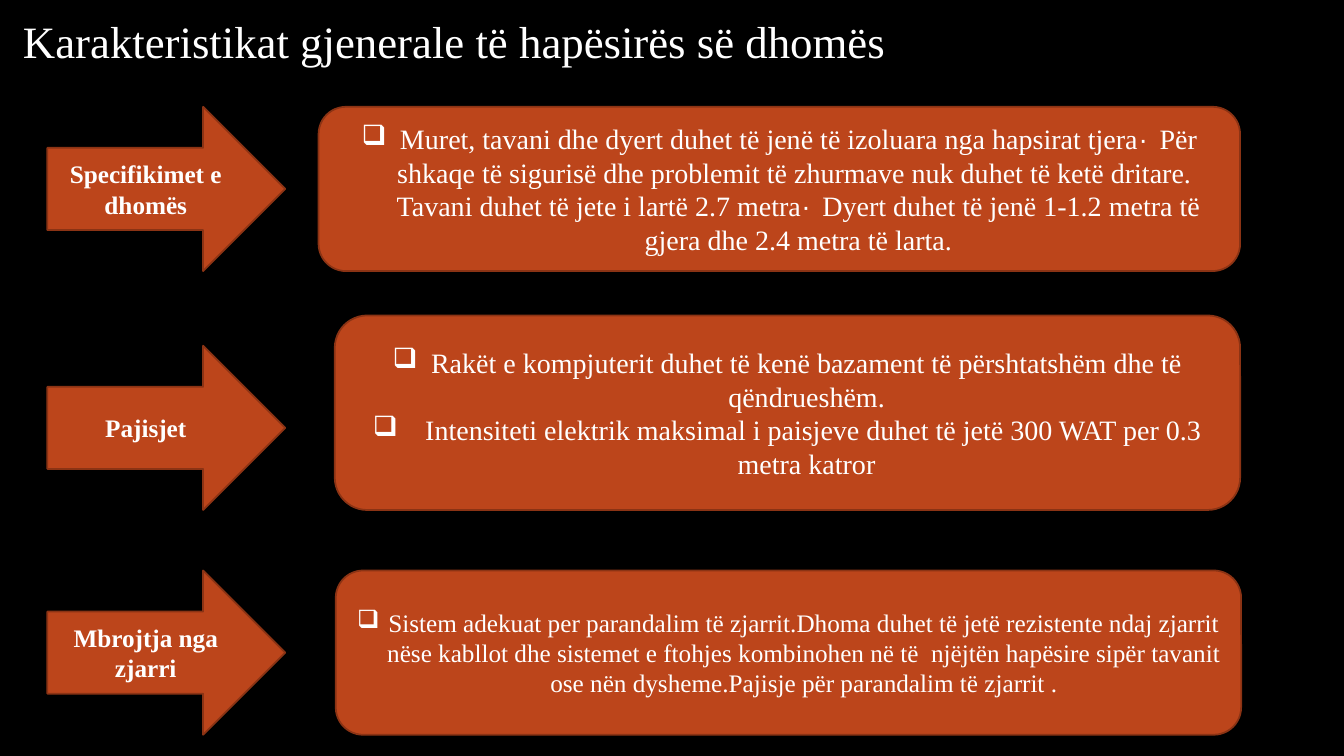
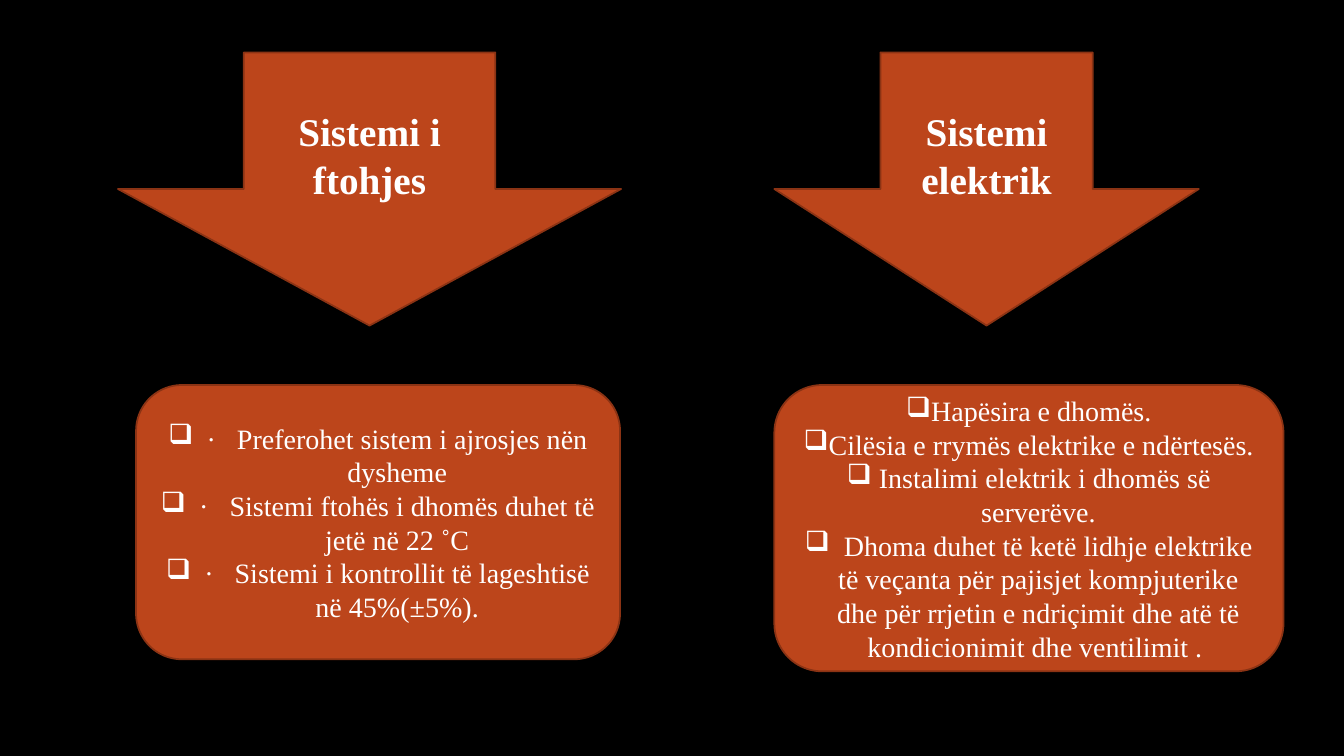
import pptx
import pptx.util
import pptx.dml.color
import pptx.enum.shapes
import pptx.enum.text
import lxml.etree

Inches = pptx.util.Inches
SHAPE = pptx.enum.shapes.MSO_SHAPE
ALIGN = pptx.enum.text.PP_ALIGN
COLORS = {"background": "000000", "fill": "BC451B", "line": "8B3314", "text": "FFFFFF"}
FONT = "Times New Roman"


def color(name):
    return pptx.dml.color.RGBColor.from_string(COLORS[name])


def write(box, paragraphs, size=20, bold=False, align=ALIGN.CENTER, indent=None):
    frame = box.text_frame
    frame.word_wrap = True
    for index, pieces in enumerate(paragraphs):
        para = frame.paragraphs[0] if index == 0 else frame.add_paragraph()
        para.alignment = align
        if indent:
            properties = para._p.get_or_add_pPr()
            properties.set("marL", str(Inches(indent)))
            properties.set("indent", str(-Inches(indent)))
            bullet = lxml.etree.SubElement(properties, pptx.oxml.ns.qn("a:buChar"))
            bullet.set("char", "❑")
        if isinstance(pieces, str):
            pieces = [(pieces, size, FONT)]
        for text, points, font in pieces:
            span = para.add_run()
            span.text = text
            span.font.size = pptx.util.Pt(points)
            span.font.name = font
            span.font.bold = bold
            span.font.color.rgb = color("text")


def add_panel(page, kind, bounds, paragraphs, **text_format):
    panel = page.shapes.add_shape(kind, *[Inches(length) for length in bounds])
    panel.shadow.inherit = False
    panel.fill.solid()
    panel.fill.fore_color.rgb = color("fill")
    panel.line.color.rgb = color("line")
    panel.line.width = pptx.util.Pt(1.25)
    panel.text_frame.vertical_anchor = pptx.enum.text.MSO_ANCHOR.MIDDLE
    write(panel, paragraphs, **text_format)


deck = pptx.Presentation()
deck.slide_width = Inches(13.33)
deck.slide_height = Inches(7.5)
background = deck.slide_master.background.fill
background.solid()
background.fore_color.rgb = color("background")
blank = deck.slide_layouts[6]

dot = ("·", 20, "Arial")
gap = ("   ", 11, FONT)
room_text = [
    ("Muret, tavani dhe dyert duhet të jenë të izoluara nga hapsirat tjera", 20, FONT),
    dot,
    gap,
    ("Për shkaqe të sigurisë dhe problemit të zhurmave nuk duhet të ketë dritare.", 20, FONT),
    gap,
    ("Tavani duhet të jete i lartë 2.7 metra", 20, FONT),
    dot,
    gap,
    ("Dyert duhet të jenë 1-1.2 metra të gjera dhe 2.4 metra të larta.", 20, FONT),
]
equipment_text = [
    "Rakët e kompjuterit duhet të kenë bazament të përshtatshëm dhe të qëndrueshëm.",
    "  Intensiteti elektrik maksimal i paisjeve duhet të jetë 300 WAT per 0.3 metra katror",
]
fire_text = (
    "Sistem adekuat per parandalim të zjarrit.Dhoma duhet të jetë rezistente ndaj zjarrit "
    "nëse kabllot dhe sistemet e ftohjes kombinohen në të  njëjtën hapësire sipër tavanit "
    "ose nën dysheme.Pajisje për parandalim të zjarrit ."
)

page = deck.slides.add_slide(blank)
title = page.shapes.add_textbox(Inches(0.13), Inches(0.09), Inches(9.86), Inches(0.64))
title.text_frame.auto_size = pptx.enum.text.MSO_AUTO_SIZE.SHAPE_TO_FIT_TEXT
write(title, ["Karakteristikat gjenerale të hapësirës së dhomës"], size=32, align=ALIGN.LEFT)

room_rows = [
    ("Specifikimet e dhomës", 1.06, (3.16, 1.06, 9.14, 1.63), [room_text], 20, 0.38),
    ("Pajisjet", 3.43, (3.32, 3.13, 8.98, 1.93), equipment_text, 20, 0.38),
    ("Mbrojtja nga zjarri", 5.66, (3.33, 5.66, 8.98, 1.63), [fire_text], 18, 0.31),
]
for label, top, bounds, paragraphs, size, indent in room_rows:
    add_panel(page, SHAPE.RIGHT_ARROW, (0.47, top, 2.36, 1.63), [label], size=18, bold=True)
    add_panel(page, SHAPE.ROUNDED_RECTANGLE, bounds, paragraphs, size=size, indent=indent)

cooling_text = [
    "·   Preferohet sistem i ajrosjes nën dysheme",
    "·   Sistemi ftohës i dhomës duhet të jetë në 22 ˚C",
    "·   Sistemi i kontrollit të lageshtisë në 45%(±5%).",
]
electrical_text = [
    "Hapësira e dhomës.",
    "Cilësia e rrymës elektrike e ndërtesës.",
    " Instalimi elektrik i dhomës së serverëve.",
    "  Dhoma duhet të ketë lidhje elektrike të veçanta për pajisjet kompjuterike "
    "dhe për rrjetin e ndriçimit dhe atë të kondicionimit dhe ventilimit . ",
]

page = deck.slides.add_slide(blank)
system_columns = [
    ("Sistemi i ftohjes", 1.17, 4.99, (1.35, 3.82, 4.8, 2.72), cooling_text, 0.38),
    ("Sistemi elektrik", 7.68, 4.21, (7.68, 3.82, 5.05, 2.84), electrical_text, 0.19),
]
for label, left, width, bounds, paragraphs, indent in system_columns:
    add_panel(page, SHAPE.DOWN_ARROW, (left, 0.52, width, 2.71), [label], size=28, bold=True)
    add_panel(page, SHAPE.ROUNDED_RECTANGLE, bounds, paragraphs, indent=indent)

deck.save("out.pptx")
